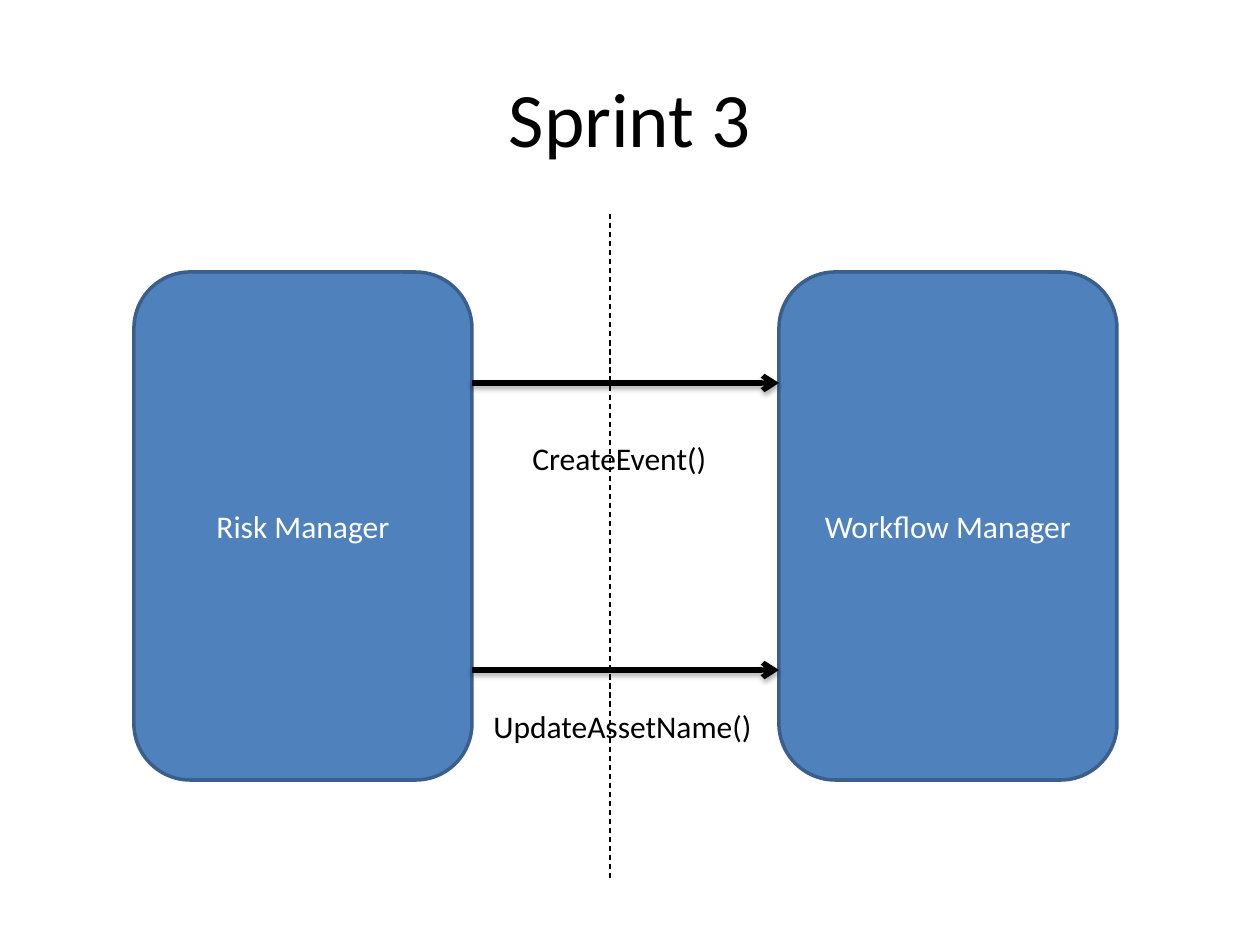
from dataclasses import dataclass
from typing import Optional

from lxml import etree
from pptx import Presentation
from pptx.dml.color import RGBColor
from pptx.enum.dml import MSO_LINE
from pptx.enum.shapes import MSO_CONNECTOR, MSO_SHAPE
from pptx.enum.text import MSO_ANCHOR, MSO_AUTO_SIZE, PP_ALIGN
from pptx.oxml.ns import qn
from pptx.util import Emu, Pt

STRAIGHT = MSO_CONNECTOR.STRAIGHT
ROUNDED = MSO_SHAPE.ROUNDED_RECTANGLE
DASH = MSO_LINE.DASH
MIDDLE = MSO_ANCHOR.MIDDLE
FIT_SHAPE = MSO_AUTO_SIZE.SHAPE_TO_FIT_TEXT
NO_FIT = MSO_AUTO_SIZE.NONE
LEFT, CENTER = PP_ALIGN.LEFT, PP_ALIGN.CENTER
EMU_PER_PX = 914400 / 126
TITLE_ONLY = 5


@dataclass(frozen=True)
class Theme:
    font: str = "Calibri"
    ink: str = "000000"
    paper: str = "FFFFFF"
    system_fill: str = "4F81BD"
    system_edge: str = "3A5F8C"
    title_size: int = 44
    body_size: int = 18
    edge_width: float = 2
    divider_width: float = 0.75
    call_width: float = 3


@dataclass(frozen=True)
class Area:
    left: int
    top: int
    width: int
    height: int


@dataclass(frozen=True)
class System:
    name: str
    left: int


@dataclass(frozen=True)
class Call:
    name: str
    y: int
    label: Area


THEME = Theme()
TITLE_AREA = Area(63, 38, 1134, 157)
SYSTEM_TOP, SYSTEM_WIDTH, SYSTEM_HEIGHT = 272, 338, 508
SYSTEMS = [System("Risk Manager", 134), System("Workflow Manager", 779)]
DIVIDER_X, DIVIDER_TOP, DIVIDER_BOTTOM = 610, 214, 879
CALLS = [
    Call("CreateEvent()", 383, Area(520, 433, 202, 50)),
    Call("UpdateAssetName()", 670, Area(481, 701, 286, 50)),
]


def px(value: int) -> Emu:
    return Emu(round(value * EMU_PER_PX))


def place(shape, area: Area) -> None:
    shape.left, shape.top = px(area.left), px(area.top)
    shape.width, shape.height = px(area.width), px(area.height)


def write(shape, text: str, size: int, color: str, align) -> None:
    frame = shape.text_frame
    frame.text = text
    para = frame.paragraphs[0]
    para.alignment = align
    font = para.runs[0].font
    font.name, font.size = THEME.font, Pt(size)
    font.color.rgb = RGBColor.from_string(color)


def draw_title(slide, text: str) -> None:
    title = slide.shapes.title
    place(title, TITLE_AREA)
    write(title, text, THEME.title_size, THEME.ink, CENTER)
    title.text_frame.vertical_anchor = MIDDLE
    title.text_frame.auto_size = NO_FIT


def draw_system(slide, system: System) -> None:
    area = Area(system.left, SYSTEM_TOP, SYSTEM_WIDTH, SYSTEM_HEIGHT)
    box = slide.shapes.add_shape(ROUNDED, 0, 0, 0, 0)
    place(box, area)
    box.shadow.inherit = False
    box.fill.solid()
    box.fill.fore_color.rgb = RGBColor.from_string(THEME.system_fill)
    box.line.color.rgb = RGBColor.from_string(THEME.system_edge)
    box.line.width = Pt(THEME.edge_width)
    write(box, system.name, THEME.body_size, THEME.paper, CENTER)
    box.text_frame.vertical_anchor = MIDDLE


def draw_line(slide, start: tuple[int, int], end: tuple[int, int],
              width: float, dash: Optional[MSO_LINE] = None):
    line = slide.shapes.add_connector(
        STRAIGHT, px(start[0]), px(start[1]), px(end[0]), px(end[1]))
    line.line.color.rgb = RGBColor.from_string(THEME.ink)
    line.line.width = Pt(width)
    if dash is not None:
        line.line.dash_style = dash
    effects = etree.SubElement(line._element.spPr, qn("a:effectLst"))
    return line, effects


def add_shadow(effects) -> None:
    shadow = etree.SubElement(
        effects, qn("a:outerShdw"), blurRad=str(Pt(3.1)), dist=str(Pt(1.8)),
        dir="5400000", rotWithShape="0")
    color = etree.SubElement(shadow, qn("a:srgbClr"), val=THEME.ink)
    etree.SubElement(color, qn("a:alpha"), val="35000")


def draw_arrow(slide, call: Call) -> None:
    start = (SYSTEMS[0].left + SYSTEM_WIDTH, call.y)
    end = (SYSTEMS[1].left, call.y)
    arrow, effects = draw_line(slide, start, end, THEME.call_width)
    outline = arrow._element.spPr.find(qn("a:ln"))
    etree.SubElement(outline, qn("a:tailEnd"), type="arrow")
    add_shadow(effects)


def draw_label(slide, call: Call) -> None:
    label = slide.shapes.add_textbox(0, 0, 0, 0)
    place(label, call.label)
    label.text_frame.word_wrap = False
    label.text_frame.auto_size = FIT_SHAPE
    write(label, call.name, THEME.body_size, THEME.ink, LEFT)


def main() -> None:
    deck = Presentation()
    deck.slide_width, deck.slide_height = px(1260), px(945)
    slide = deck.slides.add_slide(deck.slide_layouts[TITLE_ONLY])
    draw_title(slide, "Sprint 3")
    for system in SYSTEMS:
        draw_system(slide, system)
    draw_line(slide, (DIVIDER_X, DIVIDER_TOP), (DIVIDER_X, DIVIDER_BOTTOM),
              THEME.divider_width, DASH)
    for call in CALLS:
        draw_arrow(slide, call)
    for call in CALLS:
        draw_label(slide, call)
    deck.save("out.pptx")


if __name__ == "__main__":
    main()
